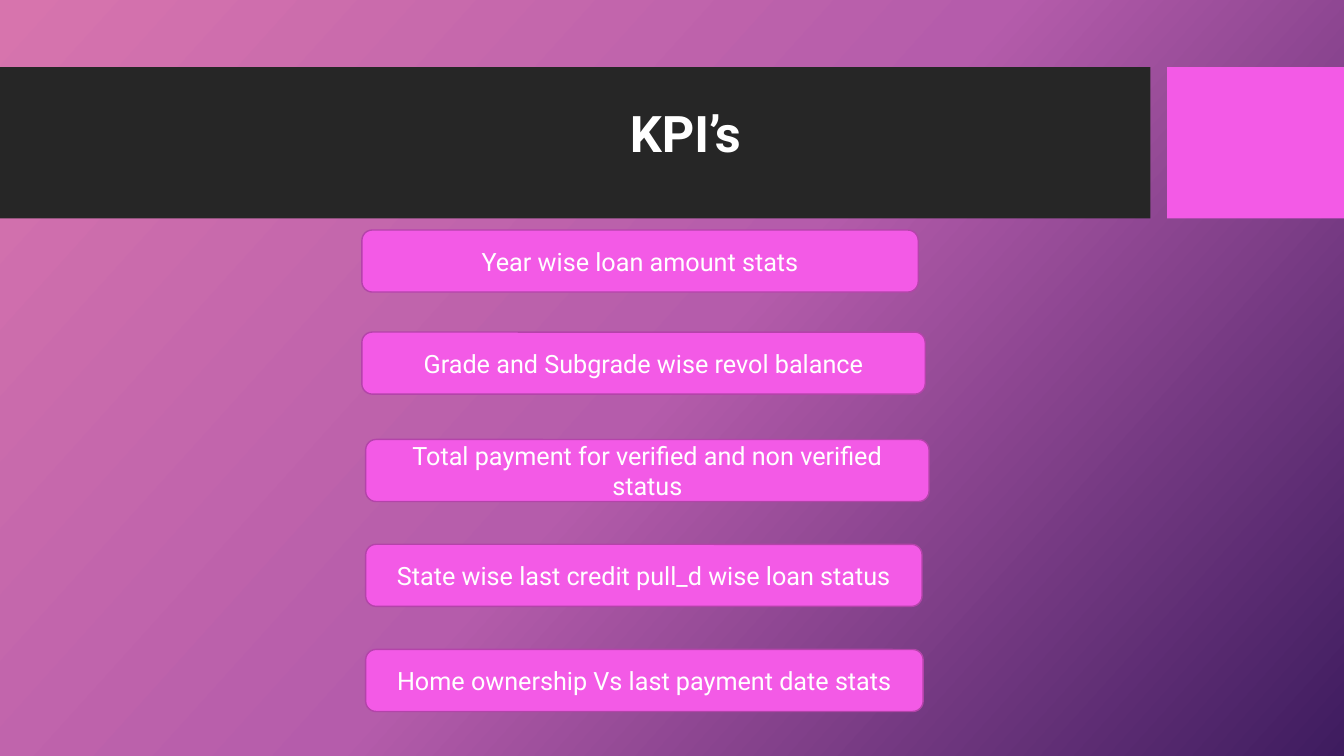
from copy import deepcopy

from pptx import Presentation
from pptx.dml.color import RGBColor
from pptx.enum.shapes import MSO_SHAPE
from pptx.enum.text import MSO_ANCHOR, MSO_AUTO_SIZE, PP_ALIGN
from pptx.oxml.ns import qn
from pptx.util import Pt

RECTANGLE = MSO_SHAPE.RECTANGLE
ROUNDED = MSO_SHAPE.ROUNDED_RECTANGLE
CENTER = PP_ALIGN.CENTER
MIDDLE = MSO_ANCHOR.MIDDLE
NO_AUTOFIT = MSO_AUTO_SIZE.NONE

PINK = "F35AE6"


def write_text(shape, text, size, bold=False, line_spacing=1.0):
    frame = shape.text_frame
    frame.word_wrap = True
    frame.auto_size = NO_AUTOFIT
    frame.vertical_anchor = MIDDLE
    paragraph = frame.paragraphs[0]
    paragraph.alignment = CENTER
    paragraph.line_spacing = line_spacing
    run = paragraph.add_run()
    run.text = text
    run.font.name = "Roboto"
    run.font.size = Pt(size)
    run.font.bold = bold
    run.font.color.rgb = RGBColor.from_string("FFFFFF")


def add_box(kind, left, top, width, height, fill, line=None):
    shape = slide.shapes.add_shape(kind, Pt(left), Pt(top), Pt(width), Pt(height))
    shape.shadow.inherit = False
    shape.fill.solid()
    shape.fill.fore_color.rgb = RGBColor.from_string(fill)
    if line:
        shape.line.color.rgb = RGBColor.from_string(line)
        shape.line.width = Pt(1)
    else:
        shape.line.fill.background()
    return shape


presentation = Presentation()
presentation.slide_width = Pt(960)
presentation.slide_height = Pt(540)
slide = presentation.slides.add_slide(presentation.slide_layouts[5])

# Background: three-stop diagonal gradient
background_fill = slide.background.fill
background_fill.gradient()
background_fill.gradient_angle = 318
stop_list = slide.element.find(".//" + qn("a:gsLst"))
stop_list.append(deepcopy(stop_list[-1]))
gradient_colors = ["D774AD", "B55CAB", "3E1C5F"]
for index, (stop, color) in enumerate(zip(background_fill.gradient_stops, gradient_colors)):
    stop.position = index / 2
    stop.color.rgb = RGBColor.from_string(color)

# Header band and accent block
add_box(RECTANGLE, 0, 48, 821.8, 108, "262626")
add_box(RECTANGLE, 833.6, 48, 126.4, 108, PINK)

# Title, brought in front of the band
title = slide.shapes.title
title.left, title.top, title.width, title.height = Pt(75.6), Pt(45.4), Pt(828), Pt(104.4)
write_text(title, "KPI’s", size=36, bold=True, line_spacing=0.9)
title.element.getparent().append(title.element)

# KPI boxes: left, top, width, label
kpis = [
    (258.5, 164.3, 397.4, "Year wise loan amount stats"),
    (258.5, 237.2, 402.4, "Grade and Subgrade wise revol balance"),
    (261.2, 313.9, 402.4, "Total payment for verified and non verified status"),
    (261.2, 388.8, 397.4, "State wise last credit pull_d wise loan status"),
    (261.2, 463.9, 398.2, "Home ownership Vs last payment date stats"),
]
for left, top, width, label in kpis:
    box = add_box(ROUNDED, left, top, width, 44.3, PINK, line="B443AA")
    write_text(box, label, size=18)

presentation.save("out.pptx")
